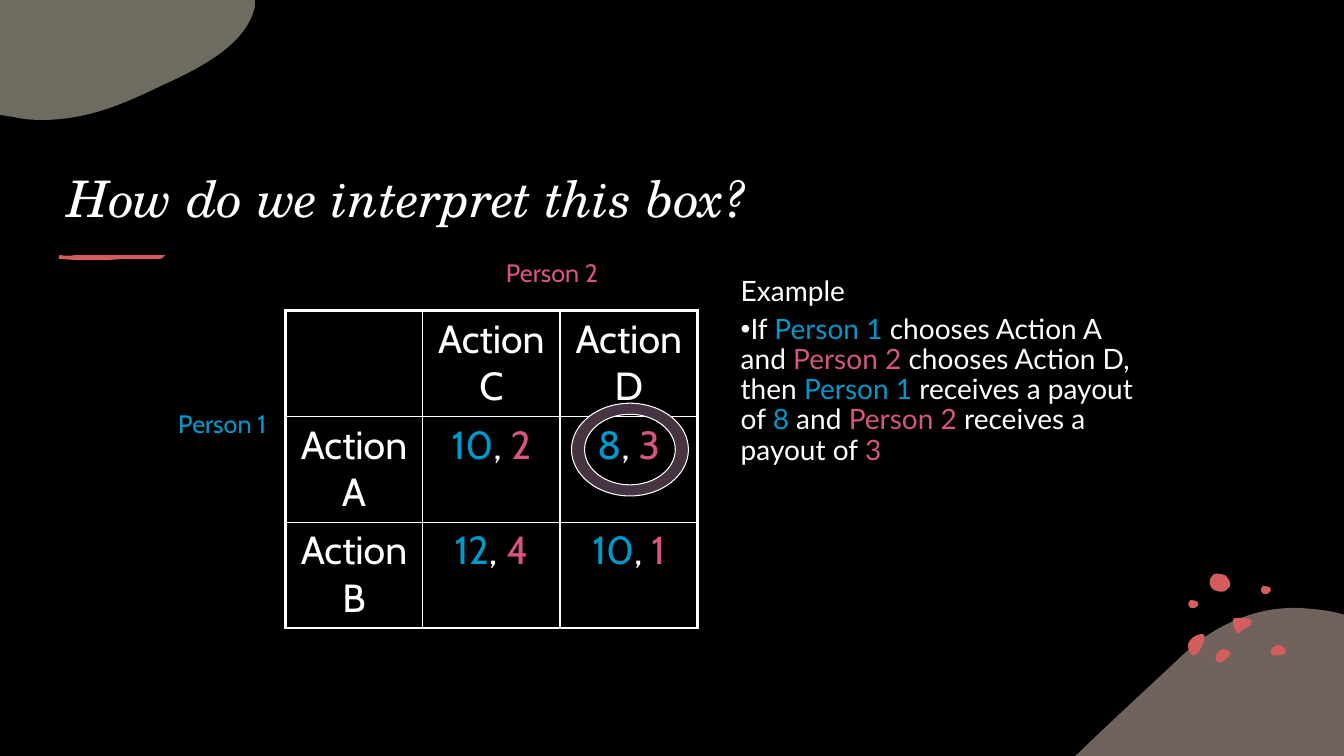
from lxml import etree
from pptx import Presentation
from pptx.dml.color import RGBColor
from pptx.enum.text import MSO_ANCHOR as Anchor, PP_ALIGN as Align
from pptx.oxml.ns import qn
from pptx.util import Pt

PX = 9144  # EMU in one px, 100 px to the inch

BLACK = RGBColor(0x00, 0x00, 0x00)
WHITE = RGBColor(0xFF, 0xFF, 0xFF)
BLUE = RGBColor(0x00, 0x99, 0xCC)
PINK = RGBColor(0xD7, 0x56, 0x81)
CORAL = RGBColor(0xD4, 0x5E, 0x5E)
ROSE = RGBColor(0xE5, 0xC4, 0xBA)
SAND = RGBColor(0xDC, 0xD9, 0xC3)
PLUM = RGBColor(0x46, 0x34, 0x43)

TITLE_FONT, BODY_FONT, LABEL_FONT = "TeX Gyre Schola", "Lato", "Cabin"

# Outlines: a start point, then lines (x, y) and curves (x1, y1, x2, y2, x, y)
TOP_BLOB = [(0, 0), (253, 0), (253, 6), (245, 44, 200, 67, 158, 86),
            (123, 103, 86, 119, 41, 119), (31, 119, 22, 118, 13, 116), (0, 114)]
BOTTOM_BLOB = [(1288, 603), (1301, 604, 1314, 605, 1327, 608), (1334, 610),
               (1334, 750), (1067, 750), (1068, 749),
               (1102, 716, 1137, 684, 1169, 654), (1191, 632, 1214, 619, 1237, 611),
               (1254, 605, 1271, 603, 1288, 603)]
UNDERLINE = [(59, 253), (64, 254, 70, 254, 75, 253), (164, 253),
             (161, 254, 163, 257, 157, 257), (121, 257), (107, 258), (86, 258),
             (75, 258), (61, 257), (57, 258, 58, 254, 59, 253)]
SMALL_DOT = [(1251, 586), (1251, 586, 1251, 582, 1253, 581),
             (1255, 581, 1256, 581, 1258, 582), (1259, 582, 1261, 583, 1261, 585),
             (1261, 586, 1260, 588, 1259, 588), (1259, 588, 1259, 589, 1257, 589),
             (1256, 589, 1254, 590, 1253, 589), (1252, 587, 1251, 587, 1251, 586)]
DOTS = [
    [(1213, 644), (1215, 644, 1216, 644, 1218, 645), (1220, 646, 1221, 648, 1220, 650),
     (1218, 653, 1212, 658, 1208, 657), (1207, 656, 1206, 654, 1206, 652),
     (1206, 650, 1208, 647, 1210, 646), (1211, 645, 1212, 644, 1213, 644)],
    [(1191, 629), (1193, 629, 1195, 629, 1195, 631), (1195, 632, 1195, 632, 1195, 633),
     (1194, 638, 1192, 643, 1189, 647), (1187, 649, 1184, 652, 1182, 649),
     (1179, 646, 1178, 641, 1179, 638), (1180, 635, 1182, 634, 1184, 632),
     (1185, 632, 1188, 629, 1191, 629)],
    [(1269, 640), (1271, 640, 1274, 642, 1275, 644), (1276, 646, 1276, 648, 1273, 649),
     (1270, 651, 1262, 651, 1261, 648), (1260, 646, 1261, 644, 1262, 643),
     (1264, 641, 1266, 640, 1269, 640)],
    [(1201, 581), (1200, 581, 1199, 575, 1202, 572), (1204, 570, 1204, 569, 1207, 569),
     (1210, 569, 1214, 570, 1216, 571), (1218, 573, 1222, 578, 1220, 582),
     (1217, 585, 1216, 587, 1212, 587), (1209, 587, 1204, 586, 1203, 584),
     (1201, 583, 1201, 582, 1201, 581)],
    SMALL_DOT,
    [tuple(value + (14 if index % 2 else -72) for index, value in enumerate(segment))
     for segment in SMALL_DOT],
    [(1228, 613), (1234, 613, 1245, 613, 1241, 619), (1241, 620, 1240, 621, 1239, 621),
     (1236, 623, 1233, 625, 1230, 627), (1229, 628, 1228, 629, 1227, 628),
     (1224, 623, 1223, 620, 1223, 616), (1223, 613, 1225, 613, 1228, 613)],
]

PAYOFFS = [
    ["", "Action C", "Action D"],
    ["Action A", (10, 2), (8, 3)],
    ["Action B", (12, 4), (10, 1)],
]
EXAMPLE = [
    ("If ", WHITE), ("Person 1", BLUE), (" chooses Action A and ", WHITE),
    ("Person 2", PINK), (" chooses Action D, then ", WHITE), ("Person 1", BLUE),
    (" receives a payout of ", WHITE), ("8", BLUE), (" and ", WHITE),
    ("Person 2", PINK), (" receives a payout of ", WHITE), ("3", PINK),
]


def px(*lengths):
    return [round(length * PX) for length in lengths]


def write(paragraph, text, *, size, font, color=WHITE, italic=False,
          align=Align.LEFT, line_spacing=None, space_before=None):
    """Write a string, or a list of (string, colour) runs."""
    paragraph.alignment = align
    if line_spacing:
        paragraph.line_spacing = line_spacing
    if space_before:
        paragraph.space_before = Pt(space_before)
    for words, run_color in [(text, color)] if isinstance(text, str) else text:
        run = paragraph.add_run()
        run.text = words
        run.font.size, run.font.name, run.font.italic = Pt(size), font, italic
        run.font.color.rgb = run_color


def add_text_frame(slide, *box):
    frame = slide.shapes.add_textbox(*px(*box)).text_frame
    frame.word_wrap = True
    return frame


def ellipse(x, y, rx, ry):
    """Outline of four curves; a negative ry reverses its direction."""
    kx, ky = rx * 0.55, ry * 0.55
    return [(x - rx, y), (x - rx, y - ky, x - kx, y - ry, x, y - ry),
            (x + kx, y - ry, x + rx, y - ky, x + rx, y),
            (x + rx, y + ky, x + kx, y + ry, x, y + ry),
            (x - kx, y + ry, x - rx, y + ky, x - rx, y)]


def bend_lines(shape, segments):
    """Turn each straight line that stands for a curve into that curve."""
    lines = list(shape._element.iter(qn("a:lnTo")))
    for line, segment in zip(lines, segments):
        if len(segment) == 2:
            continue
        curve = etree.Element(qn("a:cubicBezTo"))
        for x, y in zip(px(*segment[::2]), px(*segment[1::2])):
            etree.SubElement(curve, qn("a:pt"), x=str(x - shape.left), y=str(y - shape.top))
        line.getparent().replace(line, curve)


def add_freeform(slide, *outlines, color, opacity=None, line=None):
    ends = [[px(*segment[-2:]) for segment in outline] for outline in outlines]
    builder = slide.shapes.build_freeform(*ends[0][0])
    builder.add_line_segments(ends[0][1:])
    for points in ends[1:]:
        builder.move_to(*points[0])
        builder.add_line_segments(points[1:])
    shape = builder.convert_to_shape()
    bend_lines(shape, [segment for outline in outlines for segment in outline[1:]])
    shape.shadow.inherit = False
    shape.fill.solid()
    shape.fill.fore_color.rgb = color
    if opacity:
        color_element = shape.fill._xPr.find(".//" + qn("a:srgbClr"))
        etree.SubElement(color_element, qn("a:alpha"), val=str(opacity * 1000))
    if line:
        shape.line.color.rgb = line
        shape.line.width = Pt(0.75)
    else:
        shape.line.fill.background()
    return shape


def set_border(cell, side, width):
    border = etree.SubElement(cell._tc.get_or_add_tcPr(), qn("a:ln" + side), w=str(Pt(width)))
    fill = etree.SubElement(border, qn("a:solidFill"))
    etree.SubElement(fill, qn("a:srgbClr"), val=str(WHITE))


def add_payoff_table(slide):
    count = len(PAYOFFS)
    table = slide.shapes.add_table(count, count, *px(283, 308, 409, 315)).table
    table.first_row = table.horz_banding = False
    for row, entries in enumerate(PAYOFFS):
        for column, entry in enumerate(entries):
            cell = table.cell(row, column)
            outer = {"L": column == 0, "R": column == count - 1,
                     "T": row == 0, "B": row == count - 1}
            for side, is_outer in outer.items():
                set_border(cell, side, 2.25 if is_outer else 1)
            cell.fill.background()
            if isinstance(entry, tuple):
                entry = [(str(entry[0]), BLUE), (", ", WHITE), (str(entry[1]), PINK)]
            if entry:
                write(cell.text_frame.paragraphs[0], entry, size=28, font=LABEL_FONT,
                      align=Align.CENTER)


def add_title(slide, text):
    title = slide.shapes.title
    title.left, title.top, title.width, title.height = px(57, 86, 1102, 145)
    title.text_frame.vertical_anchor = Anchor.BOTTOM
    write(title.text_frame.paragraphs[0], text, size=36, font=TITLE_FONT, italic=True)


def add_example(slide):
    frame = add_text_frame(slide, 725, 270, 421, 400)
    style = dict(size=20, font=BODY_FONT, line_spacing=0.9)
    write(frame.paragraphs[0], "Example", **style)
    bullet = frame.add_paragraph()
    properties = bullet._p.get_or_add_pPr()
    properties.set("marL", "0")
    properties.set("indent", str(-25 * PX))
    etree.SubElement(properties, qn("a:buFont"), typeface="Arial")
    etree.SubElement(properties, qn("a:buChar"), char="•")
    write(bullet, EXAMPLE, space_before=5.5, **style)


def add_decoration(slide):
    """Draw the blobs, dots and underline, and keep them on the layout."""
    shapes = [add_freeform(slide, BOTTOM_BLOB, color=ROSE, opacity=50)]
    shapes += [add_freeform(slide, dot, color=CORAL) for dot in DOTS]
    shapes.append(add_freeform(slide, TOP_BLOB, color=SAND, opacity=50))
    shapes.append(add_freeform(slide, UNDERLINE, color=CORAL))
    for shape in shapes:
        slide.slide_layout.shapes._spTree.append(shape._element)


def main():
    presentation = Presentation()
    presentation.slide_width, presentation.slide_height = px(1333.33, 750)
    slide = presentation.slides.add_slide(presentation.slide_layouts[5])
    slide.background.fill.solid()
    slide.background.fill.fore_color.rgb = BLACK

    add_decoration(slide)
    add_title(slide, "How do we interpret this box?")
    add_example(slide)

    # Payoff table with its player labels
    add_payoff_table(slide)
    for name, color, left, top, width in [("Person 1", BLUE, 167, 400, 117),
                                          ("Person 2", PINK, 492, 250, 142)]:
        frame = add_text_frame(slide, left, top, width, 40)
        write(frame.paragraphs[0], name, size=18, font=LABEL_FONT, color=color)

    # Ring around the chosen outcome
    add_freeform(slide, ellipse(625, 446, 58, 46), ellipse(625, 446, 45, -35),
                 color=PLUM, line=WHITE)
    presentation.save("out.pptx")


if __name__ == "__main__":
    main()
